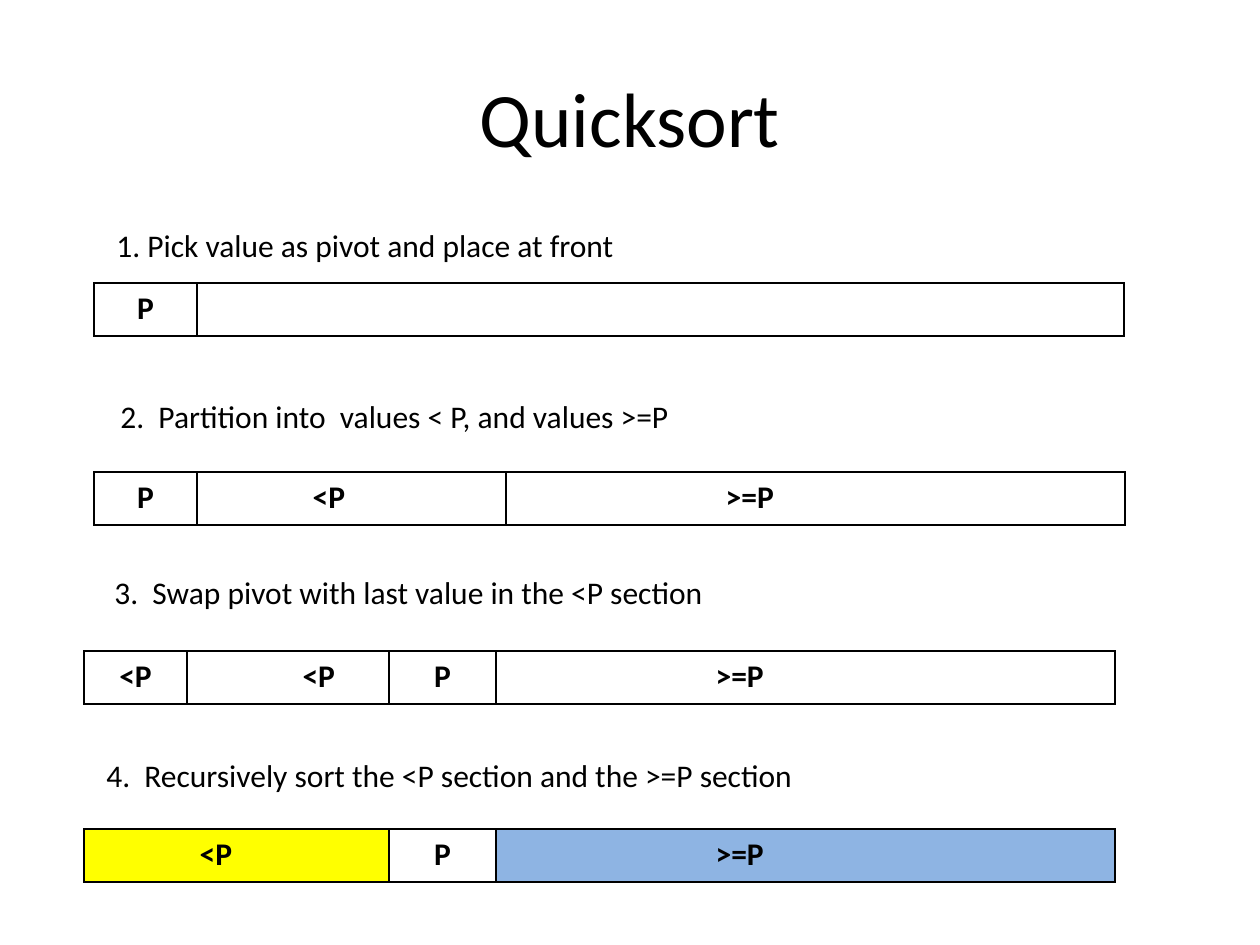
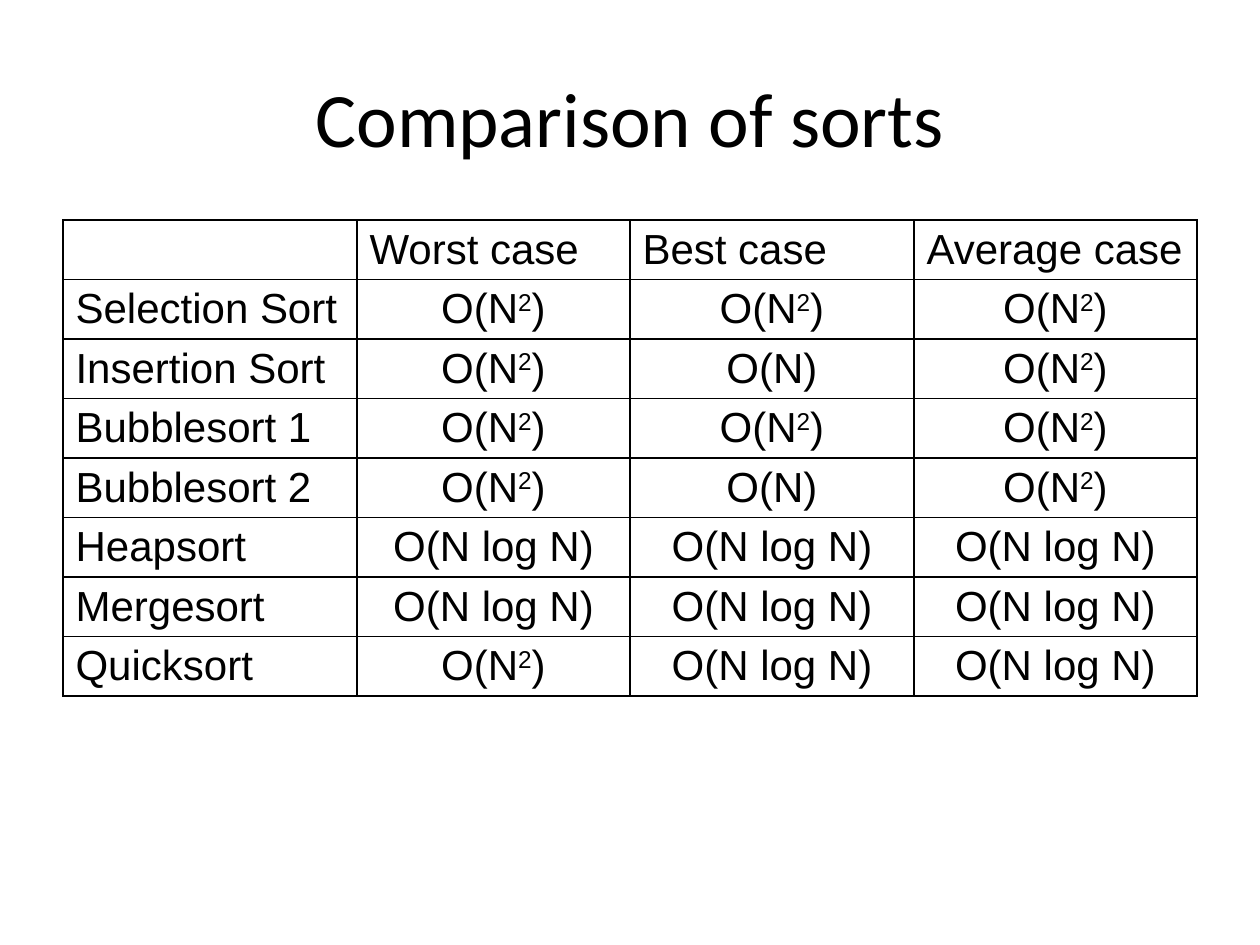
"""Build two slides on quicksort and how common sorts compare."""
from collections import namedtuple
from dataclasses import dataclass

from lxml.etree import SubElement as Sub
from pptx import Presentation
from pptx.dml.color import RGBColor as Rgb
from pptx.enum.text import MSO_ANCHOR as Anchor, PP_ALIGN as Align
from pptx.oxml.ns import qn
from pptx.util import Emu, Pt

Box = namedtuple("Box", "x y w h")
Zone = namedtuple("Zone", "span text slot fill")
Step = namedtuple("Step", "note spot widths bar zones")


@dataclass(frozen=True)
class Theme:
    ink: str = "000000"
    paper: str = "FFFFFF"
    low: str = "FFFF00"
    high: str = "8EB4E3"
    face: str = "Calibri"
    grid: str = "Arial"
    head: int = 44
    body: int = 18
    cell: int = 24
    rule: int = 1


T = Theme()
WIDE, HIGH = 1260, 945
TITLE = Box(63, 38, 1134, 157)
BAR_W, BAR_H = 1030, 53
EVEN = [103, 103, 99, 107] + [103] * 6
SPLIT = [103, 103, 99, 107, 177, 29] + [103] * 4

PIVOT = Zone(1, "P", 0, T.paper)
UPPER = Zone(6, ">=P", 2, T.paper)
STEPS = [
    Step("1. Pick value as pivot and place at front",
         Box(104, 220, 577, 50), EVEN, (94, 283),
         [PIVOT, Zone(9, "", 0, T.paper)]),
    Step("2.  Partition into  values < P, and values >=P",
         Box(108, 391, 756, 50), SPLIT, (94, 472),
         [PIVOT, Zone(3, "<P", 1, T.paper), UPPER]),
    Step("3.  Swap pivot with last value in the <P section",
         Box(102, 567, 756, 50), SPLIT, (84, 651),
         [Zone(1, "<P", 0, T.paper), Zone(2, "<P", 1, T.paper), PIVOT, UPPER]),
    Step("4.  Recursively sort the <P section and the >=P section",
         Box(94, 750, 756, 50), SPLIT, (84, 829),
         [Zone(3, "<P", 1, T.low), PIVOT, Zone(6, ">=P", 2, T.high)]),
]

SQUARE, LINEAR, LOG = "O(N^2)", "O(N)", "O(N log N)"
SORTS = [
    ("", "Worst case", "Best case", "Average case"),
    ("Selection Sort", SQUARE, SQUARE, SQUARE),
    ("Insertion Sort", SQUARE, LINEAR, SQUARE),
    ("Bubblesort 1", SQUARE, SQUARE, SQUARE),
    ("Bubblesort 2", SQUARE, LINEAR, SQUARE),
    ("Heapsort", LOG, LOG, LOG),
    ("Mergesort", LOG, LOG, LOG),
    ("Quicksort", SQUARE, LOG, LOG),
]


def px(n):
    """Turn pixels into EMU."""
    return Emu(round(n * 914400 / 126))


def write(frame, text, size, face=T.face, bold=False, align=Align.LEFT):
    """Write one paragraph, raising the digit after a caret."""
    para = frame.paragraphs[0]
    para.alignment = align
    font = para.font
    font.size, font.name, font.bold = Pt(size), face, bold
    font.color.rgb = Rgb.from_string(T.ink)
    base, _, power = text.partition("^")
    for piece, lift in ((base, 0), (power[:1], 30000), (power[1:], 0)):
        if piece:
            run = para.add_run()
            run.text = piece
            if lift:
                run._r.get_or_add_rPr().set("baseline", str(lift))


def dress(cell, sides, fill):
    """Rule the named sides of a cell and fill it."""
    props = cell._tc.get_or_add_tcPr()
    for side in "LRTB":
        line = Sub(props, qn(f"a:ln{side}"), w=str(Pt(T.rule)))
        if side in sides:
            paint = Sub(line, qn("a:solidFill"))
            Sub(paint, qn("a:srgbClr"), val=T.ink)
        else:
            Sub(line, qn("a:noFill"))
    cell.fill.solid()
    cell.fill.fore_color.rgb = Rgb.from_string(fill)


def add_grid(slide, box, rows, widths):
    """Add a plain table with the given column widths."""
    area = map(px, box)
    table = slide.shapes.add_table(rows, len(widths), *area).table
    table.first_row = table.horz_banding = False
    for col, width in zip(table.columns, widths):
        col.width = px(width)
    return table


def add_bar(slide, box, widths, zones):
    """Draw an array as a one-row table cut into zones."""
    table = add_grid(slide, box, 1, widths)
    col = 0
    for zone in zones:
        for slot in range(zone.span):
            cell = table.cell(0, col)
            sides = "TB" + "L" * (slot == 0) + "R" * (slot == zone.span - 1)
            dress(cell, sides, zone.fill)
            align = Align.CENTER if zone.span == 1 else Align.LEFT
            text = zone.text if slot == zone.slot else ""
            write(cell.text_frame, text, T.body, bold=True, align=align)
            col += 1


def add_note(slide, box, text):
    """Add a caption that wraps in its box."""
    frame = slide.shapes.add_textbox(*map(px, box)).text_frame
    frame.word_wrap = True
    write(frame, text, T.body)


def add_sorts(slide, box, widths):
    """Fill a ruled table with the cost of each sort."""
    table = add_grid(slide, box, len(SORTS), widths)
    for r, row in enumerate(SORTS):
        for c, text in enumerate(row):
            cell = table.cell(r, c)
            dress(cell, "LRTB", T.paper)
            align = Align.CENTER if r and c else Align.LEFT
            write(cell.text_frame, text, T.cell, T.grid, align=align)


def add_page(deck, text):
    """Add a slide with the shared title style."""
    slide = deck.slides.add_slide(deck.slide_layouts[5])
    title = slide.shapes.title
    title.left, title.top, title.width, title.height = map(px, TITLE)
    title.text_frame.vertical_anchor = Anchor.MIDDLE
    write(title.text_frame, text, T.head, align=Align.CENTER)
    return slide


def main():
    """Build and save the deck."""
    deck = Presentation()
    deck.slide_width, deck.slide_height = px(WIDE), px(HIGH)
    slide = add_page(deck, "Quicksort")
    for step in STEPS:
        add_note(slide, step.spot, step.note)
        add_bar(slide, Box(*step.bar, BAR_W, BAR_H), step.widths, step.zones)
    slide = add_page(deck, "Comparison of sorts")
    add_sorts(slide, Box(63, 220, 1134, 416), [294, 273, 284, 283])
    deck.save("out.pptx")


if __name__ == "__main__":
    main()
